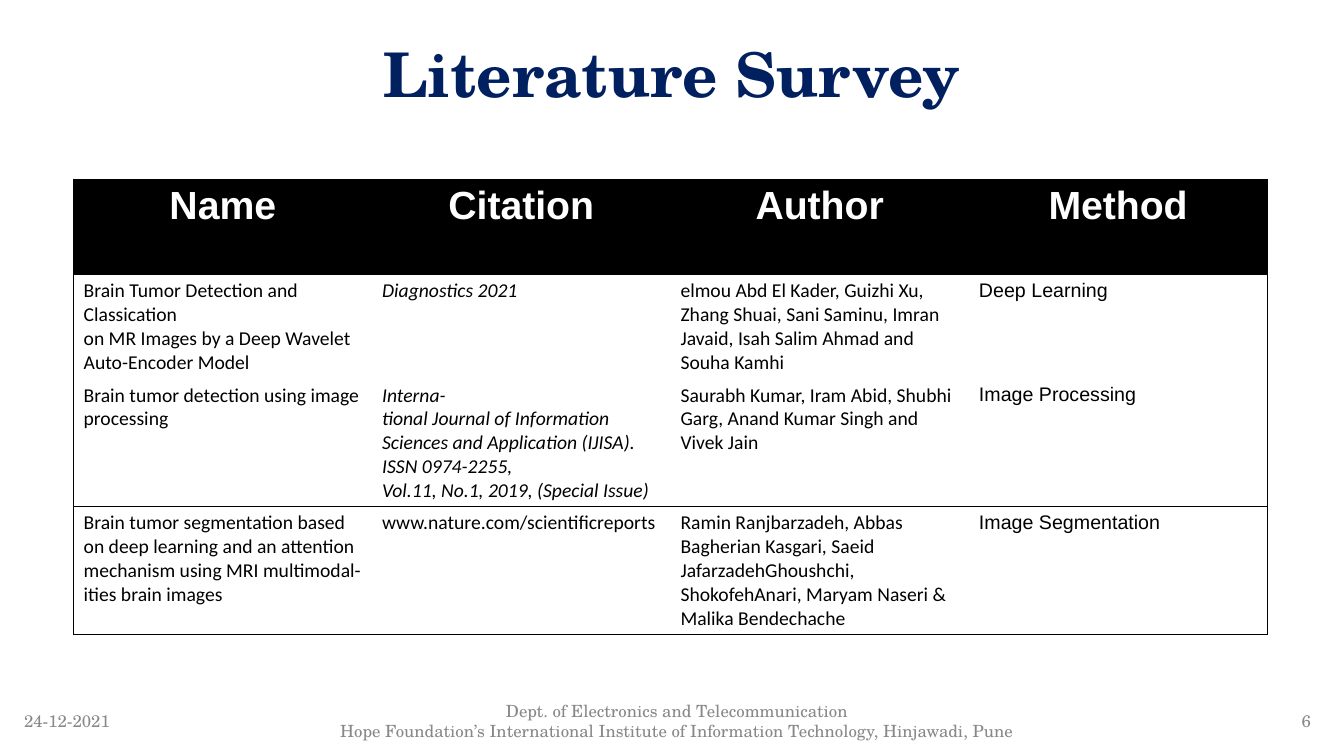
from dataclasses import dataclass

from pptx import Presentation
from pptx.dml.color import RGBColor as Color
from pptx.enum.text import MSO_ANCHOR as Anchor, PP_ALIGN as Align
from pptx.oxml.xmlchemy import OxmlElement as Element
from pptx.util import Inches, Pt


@dataclass(frozen=True)
class Theme:
    serif: str = "TeX Gyre Schola"
    sans: str = "Arial"
    body: str = "Calibri"
    navy: str = "002060"
    grey: str = "888888"
    black: str = "000000"
    white: str = "FFFFFF"
    title_size: int = 44
    header_size: int = 28
    body_size: int = 14
    footer_size: int = 12
    rule_width: float = 0.75


class SlideBuilder:
    def __init__(self, page, theme):
        self.page = page
        self.theme = theme

    def fill_text(self, frame, lines, color, align=Align.LEFT, spacing=None, **font):
        for index, line in enumerate(lines):
            para = frame.paragraphs[0] if index == 0 else frame.add_paragraph()
            for name, value in {"alignment": align, "line_spacing": spacing}.items():
                setattr(para, name, value)
            span = para.add_run()
            span.text = line
            for name, value in font.items():
                setattr(span.font, name, value)
            span.font.color.rgb = Color.from_string(color)

    def text(self, left, top, width, height, lines, color, **style):
        box = self.page.shapes.add_textbox(
            Inches(left), Inches(top), Inches(width), Inches(height))
        frame = box.text_frame
        for name, value in {"word_wrap": True, "vertical_anchor": Anchor.MIDDLE}.items():
            setattr(frame, name, value)
        self.fill_text(frame, lines, color, name=self.theme.serif, **style)

    def footer(self, left, width, lines, align):
        self.text(left, 6.95, width, 0.4, lines, self.theme.grey,
                  align=align, size=Pt(self.theme.footer_size))

    def borders(self, cell, sides):
        properties = cell._tc.get_or_add_tcPr()
        for side in "LRTB":
            line = Element(f"a:ln{side}")
            line.set("w", str(Pt(self.theme.rule_width)))
            if side in sides:
                fill = Element("a:solidFill")
                color = Element("a:srgbClr")
                color.set("val", self.theme.black)
                fill.append(color)
            else:
                fill = Element("a:noFill")
            line.append(fill)
            properties.append(line)

    def table(self, left, top, column_width, row_height, headings, rows, ruled_rows):
        theme = self.theme
        row_count, column_count = len(rows) + 1, len(headings)
        table = self.page.shapes.add_table(
            row_count, column_count, Inches(left), Inches(top),
            Inches(column_width * column_count), Inches(row_height * row_count)).table
        for name in ("first_row", "horz_banding"):
            setattr(table, name, False)
        for column in table.columns:
            column.width = Inches(column_width)
        for row in table.rows:
            row.height = Inches(row_height)

        header = {"color": theme.white, "align": Align.CENTER, "name": theme.sans,
                  "size": Pt(theme.header_size), "bold": True}
        body = {"color": theme.black, "size": Pt(theme.body_size), "bold": False}
        column_fonts = [
            {"name": theme.body},
            {"name": theme.body, "italic": True},
            {"name": theme.body},
            {"name": theme.sans},
        ]
        entries = [[[heading] for heading in headings]] + rows
        for row_index, row in enumerate(entries):
            for column_index, lines in enumerate(row):
                cell = table.cell(row_index, column_index)
                sides = "L" if column_index == 0 else ""
                sides += "R" if column_index == column_count - 1 else ""
                sides += "T" if row_index in ruled_rows else ""
                sides += "B" if row_index + 1 in ruled_rows else ""
                self.borders(cell, sides)
                if row_index == 0:
                    cell.fill.solid()
                    cell.fill.fore_color.rgb = Color.from_string(theme.black)
                    style = header
                else:
                    cell.fill.background()
                    style = body | column_fonts[column_index]
                    if lines[0].startswith("www."):
                        style = style | {"italic": False}
                self.fill_text(cell.text_frame, lines, **style)


HEADINGS = ["Name", "Citation", "Author", "Method"]
PAPERS = [
    [
        ["Brain Tumor Detection and Classication",
         "on MR Images by a Deep Wavelet Auto-Encoder Model"],
        ["Diagnostics 2021"],
        ["elmou Abd El Kader, Guizhi Xu, Zhang Shuai, Sani Saminu, "
         "Imran Javaid, Isah Salim Ahmad and Souha Kamhi"],
        ["Deep Learning"],
    ],
    [
        ["Brain tumor detection using image processing"],
        ["Interna-",
         "tional Journal of Information Sciences and Application (IJISA). ISSN 0974-2255,",
         "Vol.11, No.1, 2019, (Special Issue)"],
        ["Saurabh Kumar, Iram Abid, Shubhi Garg, Anand Kumar Singh and Vivek Jain"],
        ["Image Processing"],
    ],
    [
        ["Brain tumor segmentation based on deep learning and an attention "
         "mechanism using MRI multimodal-",
         "ities brain images"],
        ["www.nature.com/scientificreports"],
        ["Ramin Ranjbarzadeh, Abbas Bagherian Kasgari, Saeid JafarzadehGhoushchi,",
         "ShokofehAnari, Maryam Naseri & Malika Bendechache"],
        ["Image Segmentation"],
    ],
]


def main():
    deck = Presentation()
    deck.slide_width, deck.slide_height = Inches(13.33), Inches(7.5)
    theme = Theme()
    builder = SlideBuilder(deck.slides.add_slide(deck.slide_layouts[6]), theme)
    builder.text(0, 0.21, 13.33, 0.96, ["Literature Survey"], theme.navy,
                 align=Align.CENTER, spacing=1.1, size=Pt(theme.title_size), bold=True)
    builder.footer(0.14, 1.19, ["24-12-2021"], Align.LEFT)
    builder.footer(2.19, 9.05, [
        "Dept. of Electronics and Telecommunication",
        "Hope Foundation’s International Institute of Information Technology, Hinjawadi, Pune",
    ], Align.CENTER)
    builder.footer(12.57, 0.53, ["6"], Align.RIGHT)
    builder.table(0.73, 1.78, 2.96, 0.94, HEADINGS, PAPERS, ruled_rows={0, 1, 3, 4})
    deck.save("out.pptx")


if __name__ == "__main__":
    main()
